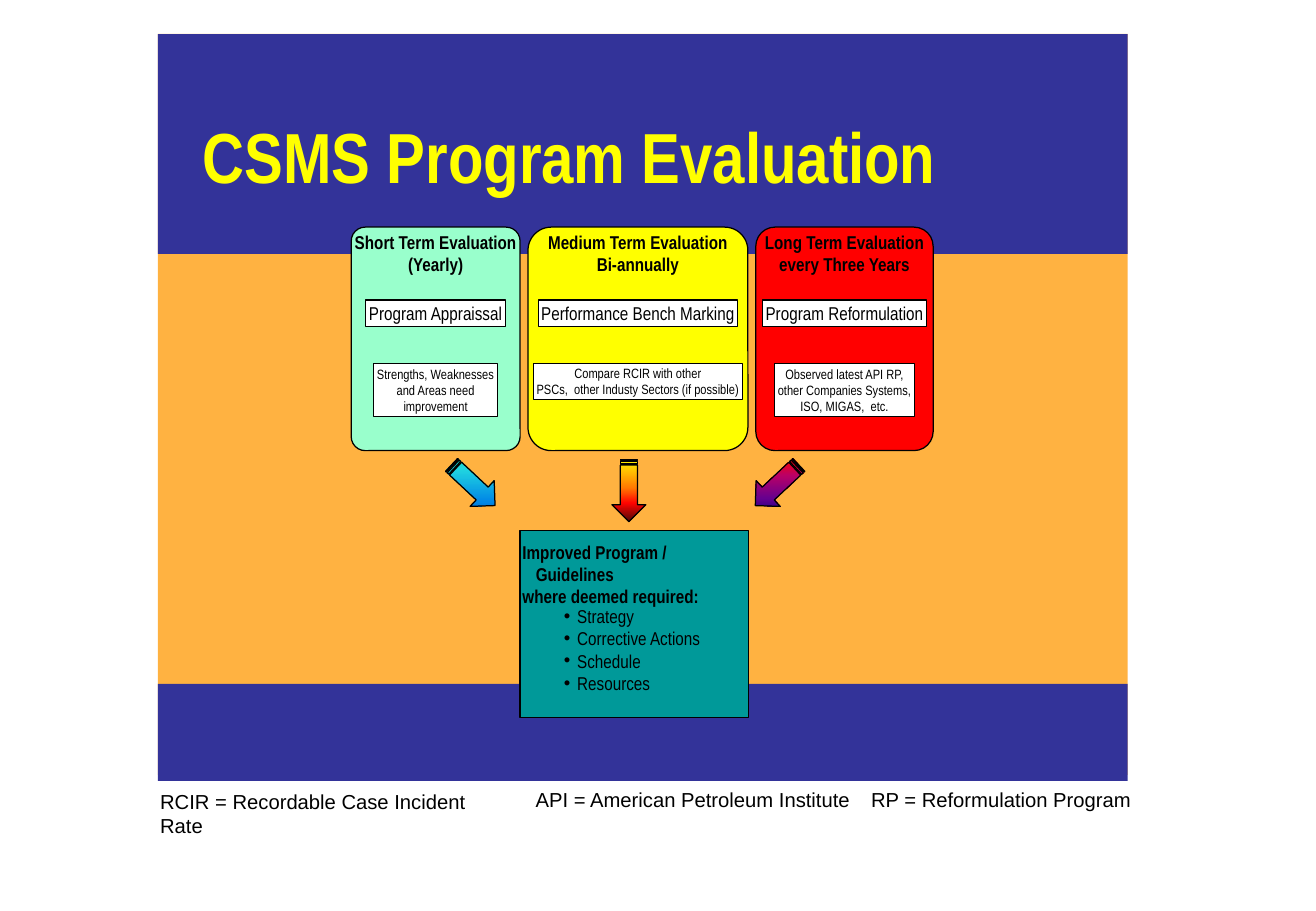
from dataclasses import dataclass

from lxml.etree import SubElement as Sub
from pptx import Presentation
from pptx.dml.color import RGBColor as Rgb
from pptx.enum.shapes import MSO_SHAPE as Kind
from pptx.enum.text import MSO_ANCHOR as Anchor, MSO_AUTO_SIZE as Fit, PP_ALIGN as Align
from pptx.oxml.ns import qn
from pptx.shapes.autoshape import Shape
from pptx.slide import Slide
from pptx.util import Inches, Pt

CELL = Inches(0.1)
COLS, ROWS = 108.3, 75
GAP = 0.65
HANG = 1.1
NARROW = "Arial Narrow"
HUES = {
    "sand": "FFB241", "navy": "333399", "gold": "FFFF00", "mint": "99FFCC",
    "red": "FF0000", "teal": "009999", "white": "FFFFFF", "black": "000000",
}


@dataclass(frozen=True)
class Box:
    x: float
    y: float
    w: float
    h: float

    def size(self) -> tuple[int, ...]:
        return tuple(round(n * CELL) for n in (self.x, self.y, self.w, self.h))


@dataclass(frozen=True)
class Style:
    size: float
    font: str = NARROW
    hue: str = "black"
    bold: bool = False
    align: Align = Align.LEFT
    pad: tuple[float, float] = (0.2, 0.1)
    wrap: bool = False


@dataclass(frozen=True)
class Card:
    hue: str
    width: float
    curve: float
    head: str
    label: str
    span: float
    note: str
    reach: float


@dataclass(frozen=True)
class Arrow:
    box: Box
    turn: float
    stops: tuple[tuple[int, str], ...]


@dataclass(frozen=True)
class Note:
    box: Box
    text: str
    wrap: bool = False


HEAD = Style(11, bold=True, align=Align.CENTER)
LABEL = Style(11, align=Align.CENTER)
SMALL = Style(8, align=Align.CENTER)
LEAD = Style(11, bold=True, wrap=True)
LIST = Style(11, wrap=True)
TITLE = Style(42, hue="gold", bold=True, pad=(1, 0.5))

BANDS = [
    ("sand", Box(13, 2.8, 79.8, 61)),
    ("navy", Box(13, 2.8, 79.8, 18.1)),
    ("navy", Box(13, 56.3, 79.8, 8)),
]
CARDS = [
    Card("mint", 13.9, 0.083, "Short Term Evaluation\n(Yearly)", "Program Appraissal", 11.5,
         "Strengths, Weaknesses\nand Areas need\nimprovement", 10.2),
    Card("gold", 18.1, 0.106, "Medium Term Evaluation\nBi-annually", "Performance Bench Marking", 16.4,
         "Compare RCIR with other\nPSCs,  other Industy Sectors (if possible)", 17.2),
    Card("red", 14.6, 0.108, "Long Term Evaluation\nevery Three Years", "Program Reformulation", 13.5,
         "Observed latest API RP,\nother Companies Systems,\nISO, MIGAS,  etc.", 11.5),
]
ARROWS = [
    Arrow(Box(36.5, 38.5, 4.9, 2.9), 43.1,
          ((0, "03D4A8"), (25, "21D6E0"), (75, "0087E6"), (100, "005CBF"))),
    Arrow(Box(61.5, 38.5, 4.9, 2.9), 136.9,
          ((0, "FF8200"), (10, "FF0000"), (35, "BA0066"), (70, "66008F"), (100, "000082"))),
    Arrow(Box(49.2, 39, 5.1, 2.8), 90,
          ((0, "FFF200"), (45, "FF7A00"), (70, "FF0300"), (100, "4D0808"))),
]
NOTES = [
    Note(Box(12.2, 64.5, 30, 5), "RCIR = Recordable Case Incident Rate", True),
    Note(Box(43.1, 64.3, 28, 3), "API = American Petroleum Institute"),
    Note(Box(70.7, 64.3, 23.4, 3), "RP = Reformulation Program"),
]


def paint(slide: Slide, box: Box, hue: str, line: bool = True, kind: Kind = Kind.RECTANGLE) -> Shape:
    shape = slide.shapes.add_shape(kind, *box.size())
    shape.shadow.inherit = False
    shape.fill.solid()
    shape.fill.fore_color.rgb = Rgb.from_string(HUES[hue])
    if line:
        shape.line.color.rgb = Rgb.from_string(HUES["black"])
        shape.line.width = Pt(0.75)
    else:
        shape.line.fill.background()
    return shape


def write(shape: Shape, text: str, style: Style) -> None:
    frame = shape.text_frame
    frame.text = text
    frame.word_wrap = style.wrap
    frame.auto_size = Fit.NONE
    frame.margin_left = frame.margin_right = round(style.pad[0] * CELL)
    frame.margin_top = frame.margin_bottom = round(style.pad[1] * CELL)
    for para in frame.paragraphs:
        para.alignment = style.align
        para.space_before = Pt(0)
        for run in para.runs:
            run.font.name = style.font
            run.font.size = Pt(style.size)
            run.font.bold = style.bold
            run.font.color.rgb = Rgb.from_string(HUES[style.hue])


def label(slide: Slide, box: Box, text: str, style: Style) -> Shape:
    shape = slide.shapes.add_textbox(*box.size())
    write(shape, text, style)
    return shape


def place(shape: Shape, box: Box, text: str, style: Style) -> None:
    shape.left, shape.top, shape.width, shape.height = box.size()
    node = shape.element
    node.getparent().append(node)
    write(shape, text, style)
    shape.text_frame.vertical_anchor = Anchor.TOP


def hang(shape: Shape, mark: str = "") -> None:
    for para in shape.text_frame.paragraphs:
        props = para._p.get_or_add_pPr()
        props.set("marL", str(round(HANG * CELL)))
        props.set("indent", str(round(-HANG * CELL)))
        if mark:
            Sub(props, qn("a:buChar"), char=mark)


def shade(shape: Shape) -> None:
    for run in shape.text_frame.paragraphs[0].runs:
        props = run.font._element
        glow = props.makeelement(qn("a:effectLst"))
        props.find(qn("a:solidFill")).addnext(glow)
        drop = Sub(glow, qn("a:outerShdw"), dist="38100", dir="2700000")
        Sub(drop, qn("a:srgbClr"), val=HUES["black"])


def blend(shape: Shape, stops: tuple[tuple[int, str], ...]) -> None:
    props = shape.element.spPr
    grad = props.makeelement(qn("a:gradFill"), rotWithShape="0")
    steps = Sub(grad, qn("a:gsLst"))
    for share, hue in stops:
        stop = Sub(steps, qn("a:gs"), pos=str(share * 1000))
        Sub(stop, qn("a:srgbClr"), val=hue)
    Sub(grad, qn("a:lin"), ang="5400000", scaled="1")
    props.replace(props.find(qn("a:solidFill")), grad)


def deal(slide: Slide, card: Card, x: float) -> None:
    def mid(y: float, w: float, h: float) -> Box:
        return Box(x + (card.width - w) / 2, y, w, h)

    back = paint(slide, Box(x, 18.7, card.width, 18.4), card.hue, kind=Kind.ROUNDED_RECTANGLE)
    back.adjustments[0] = card.curve
    write(paint(slide, mid(24.7, card.span, 2.2), "white"), card.label, LABEL)
    tall = 1.4 * len(card.note.splitlines()) + 0.2
    write(paint(slide, mid(29.9, card.reach, tall), "white"), card.note, SMALL)
    label(slide, mid(18.9, card.width, 3.9), card.head, HEAD)


def main() -> None:
    deck = Presentation()
    deck.slide_width, deck.slide_height = round(COLS * CELL), ROWS * CELL
    slide = deck.slides.add_slide(deck.slide_layouts[1])
    title, body = slide.shapes.title, slide.placeholders[1]

    for hue, box in BANDS:
        paint(slide, box, hue, line=False)
    place(title, Box(15.7, 8.8, 62.4, 8), "CSMS Program Evaluation", TITLE)
    shade(title)

    x = 28.9
    for card in CARDS:
        deal(slide, card, x)
        x += card.width + GAP

    paint(slide, Box(42.8, 43.7, 18.8, 15.4), "teal")
    hang(label(slide, Box(42.8, 44.4, 18, 5.6),
               "Improved Program / Guidelines\nwhere deemed required:", LEAD))
    place(body, Box(46.2, 49.7, 13, 7.6), "Strategy\nCorrective Actions\nSchedule\nResources", LIST)
    hang(body, "•")

    for arrow in ARROWS:
        shape = paint(slide, arrow.box, "white", kind=Kind.STRIPED_RIGHT_ARROW)
        shape.rotation = arrow.turn
        blend(shape, arrow.stops)
    for note in NOTES:
        label(slide, note.box, note.text, Style(12, "Arial", pad=(1, 0.5), wrap=note.wrap))

    deck.save("out.pptx")


if __name__ == "__main__":
    main()
